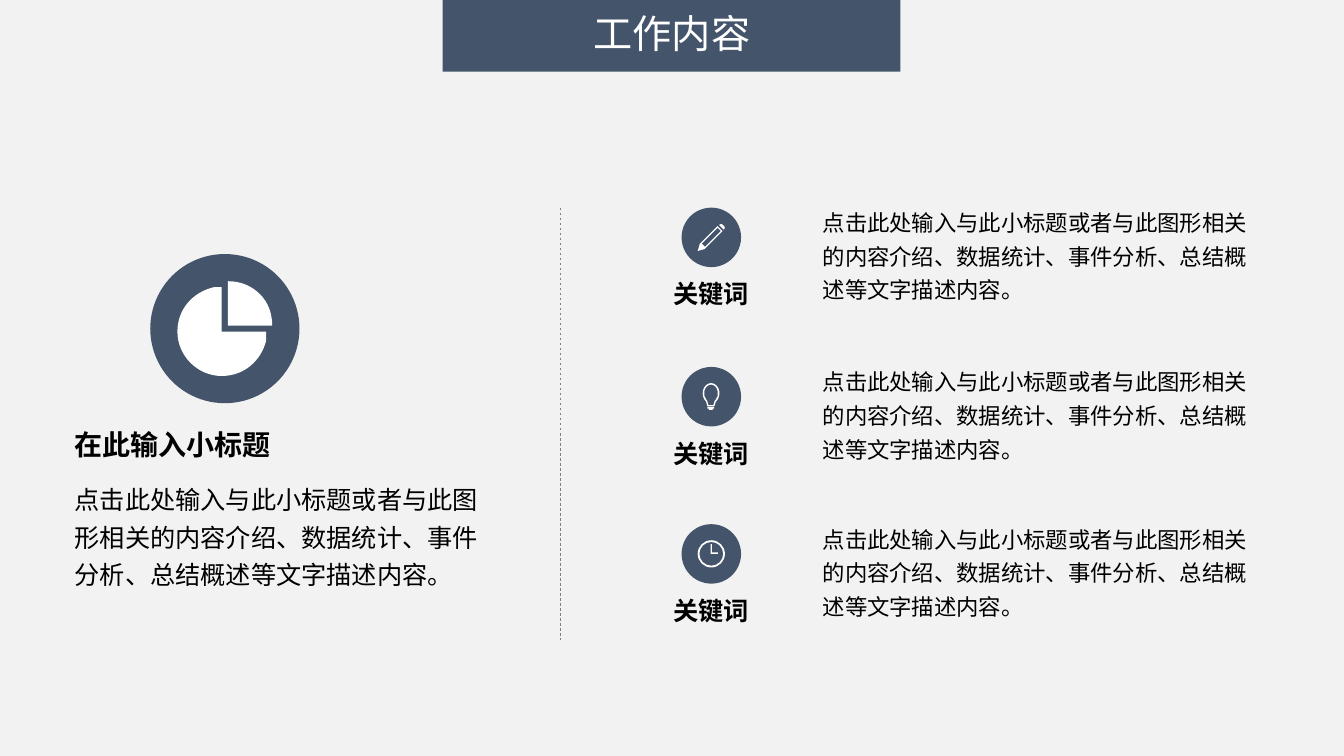
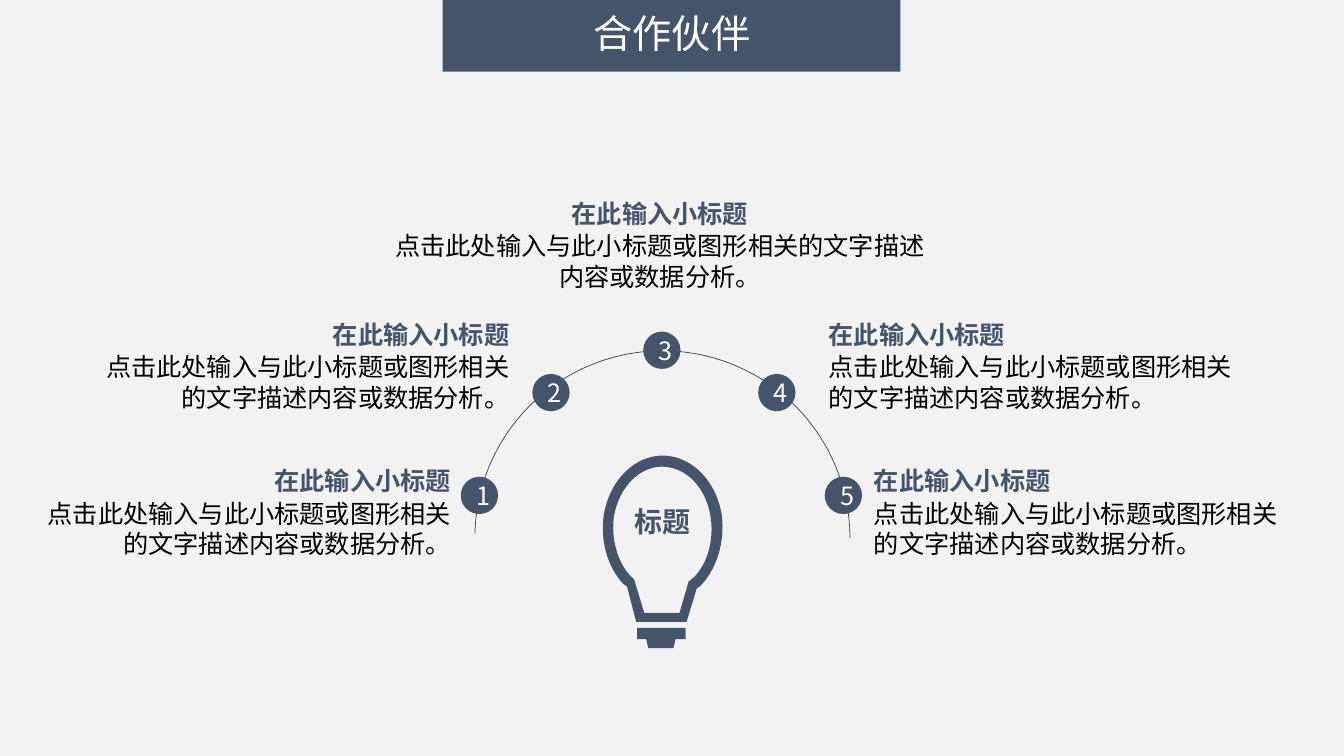
from lxml.etree import Element, SubElement
from pptx import Presentation
from pptx.dml.color import RGBColor
from pptx.enum.dml import MSO_LINE
from pptx.enum.shapes import MSO_CONNECTOR, MSO_SHAPE
from pptx.enum.text import MSO_ANCHOR, MSO_AUTO_SIZE, PP_ALIGN
from pptx.oxml.ns import qn
from pptx.util import Pt

EMU_PER_PX = 9144
FONT = "Noto Sans CJK SC"
NAVY, WHITE, BLACK, PALE = "44546A", "FFFFFF", "000000", "F2F2F2"
ARC_GREY, DIVIDER_GREY = "404040", "808080"

SUBTITLE = "在此输入小标题"
KEYWORD = "关键词"
SUMMARY = "点击此处输入与此小标题或者与此图形相关的内容介绍、数据统计、事件分析、总结概述等文字描述内容。"
PARTNER_NOTE = "点击此处输入与此小标题或图形相关的文字描述内容或数据分析。"


def circle(center, radius):
    low, high = center - radius, center + radius
    near, far = center - 0.55 * radius, center + 0.55 * radius
    return [(center, low), (far, low, high, near, high, center),
            (high, far, far, high, center, high), (near, high, low, far, low, center),
            (low, near, near, low, center, low)]


PIE = [
    [(44, 6), (44, 50), (88, 50), (88, 59), (83, 79, 66, 94, 44, 94),
     (20, 94, 0, 74, 0, 50), (0, 28, 15, 11, 36, 6)],
    [(50, 0), (62, 0, 73, 4, 82, 13), (90, 21, 94, 32, 94, 44), (50, 44)],
]
PENCIL = [
    [(198, 40), (40, 198), (72, 230), (230, 72)],
    [(197, 23), (247, 73), (70, 250), (0, 270), (20, 200)],
    [(212, 12), (225, -1, 235, -1, 243, 6), (264, 27), (272, 35, 272, 45, 258, 58)],
]
BULB = [
    [(34, 171), (82, 171), (82, 182), (72, 182), (70, 191), (45, 191), (43, 182), (34, 182)],
    [(60, 11), (37, 10, 16, 31, 11, 60), (8, 82, 14, 104, 26, 118), (31, 123), (41, 156),
     (76, 156), (85, 125), (91, 120), (104, 106, 110, 84, 107, 62), (103, 33, 84, 12, 60, 11)],
    [(61, 0), (89, 1, 113, 26, 118, 60), (121, 86, 113, 112, 97, 129), (93, 132), (83, 165),
     (33, 165), (24, 130), (20, 127), (4, 110, -3, 83, 1, 58), (7, 24, 32, -1, 61, 0)],
]
CLOCK = [
    [(128, 40), (142, 40), (142, 120), (200, 120), (200, 135), (128, 135)],
    circle(135, 118),
    circle(135, 135),
]


def px(length):
    return round(length * EMU_PER_PX)


def color(hex_code):
    return RGBColor.from_string(hex_code)


def paint(shape, fill):
    shape.shadow.inherit = False
    shape.fill.solid()
    shape.fill.fore_color.rgb = color(fill)
    shape.line.fill.background()


def bend(line_to, controls, origin):
    line_to.tag = qn("a:cubicBezTo")
    for position, (x, y) in enumerate(controls):
        control = Element(qn("a:pt"), x=str(x - origin[0]), y=str(y - origin[1]))
        line_to.insert(position, control)


def add_icon(slide, contours, left, top, scale, fill):
    def place(x, y):
        return px(left + x * scale), px(top + y * scale)

    builder = slide.shapes.build_freeform(*place(*contours[0][0]), scale=1.0)
    for index, contour in enumerate(contours):
        if index:
            builder.move_to(*place(*contour[0]))
        builder.add_line_segments([place(*segment[-2:]) for segment in contour[1:]])
    icon = builder.convert_to_shape()
    paint(icon, fill)
    segments = [segment for contour in contours for segment in contour[1:]]
    for line_to, segment in zip(list(icon._element.iter(qn("a:lnTo"))), segments):
        if len(segment) == 6:
            controls = [place(*segment[:2]), place(*segment[2:4])]
            bend(line_to, controls, (icon.left, icon.top))


def set_text(shape, text, size, ink, align, bold=False, spacing=None):
    paragraph = shape.text_frame.paragraphs[0]
    paragraph.text = text
    paragraph.alignment = align
    if spacing:
        paragraph.line_spacing = spacing
    run = paragraph.runs[0]
    run.font.size = Pt(size)
    run.font.bold = bold
    run.font.color.rgb = color(ink)
    run.font.name = FONT
    SubElement(run._r.get_or_add_rPr(), qn("a:ea"), typeface=FONT)


def add_filled(slide, preset, left, top, width, height, fill):
    shape = slide.shapes.add_shape(preset, px(left), px(top), px(width), px(height))
    paint(shape, fill)
    shape.text_frame.vertical_anchor = MSO_ANCHOR.MIDDLE
    return shape


def add_disc(slide, left, top, diameter):
    return add_filled(slide, MSO_SHAPE.OVAL, left, top, diameter, diameter, NAVY)


def add_text(slide, box, text, size, ink=BLACK, align=PP_ALIGN.LEFT, bold=False,
             spacing=None, side_inset=10):
    text_box = slide.shapes.add_textbox(*map(px, box))
    frame = text_box.text_frame
    frame.word_wrap = True
    frame.auto_size = MSO_AUTO_SIZE.SHAPE_TO_FIT_TEXT
    frame.margin_left = frame.margin_right = px(side_inset)
    set_text(text_box, text, size, ink, align, bold, spacing)


def add_flush_text(slide, box, text, size, **style):
    add_text(slide, box, text, size, spacing=1.25, side_inset=0, **style)


def add_divider(slide, x, top, bottom):
    divider = slide.shapes.add_connector(MSO_CONNECTOR.STRAIGHT, px(x), px(top), px(x), px(bottom))
    divider.line.color.rgb = color(DIVIDER_GREY)
    divider.line.width = Pt(0.5)
    divider.line.dash_style = MSO_LINE.DASH
    SubElement(divider._element.spPr, qn("a:effectLst"))


def add_arc(slide, left, top, diameter, start_degrees):
    arc = slide.shapes.add_shape(MSO_SHAPE.ARC, px(left), px(top), px(diameter), px(diameter))
    arc.adjustments[0] = start_degrees * 0.6
    arc.adjustments[1] = 0
    arc.shadow.inherit = False
    arc.fill.background()
    arc.line.color.rgb = color(ARC_GREY)
    arc.line.width = Pt(0.5)


def move_band_to_master(deck, slide):
    band = add_filled(slide, MSO_SHAPE.RECTANGLE, 439, 0, 454, 71, NAVY)
    deck.slide_master.shapes._spTree.append(band._element)


def add_titled_slide(deck, title):
    slide = deck.slides.add_slide(deck.slide_layouts[6])
    title_box = slide.shapes.add_textbox(px(495), px(9), px(343), px(53))
    title_box.text_frame.vertical_anchor = MSO_ANCHOR.MIDDLE
    title_box.text_frame.word_wrap = True
    set_text(title_box, title, 28, WHITE, PP_ALIGN.CENTER, spacing=0.9)
    return slide


def add_keyword_row(slide, top, icon, icon_left, icon_scale):
    add_disc(slide, 676, top, 59)
    add_icon(slide, icon, icon_left, top + 16, icon_scale, WHITE)
    add_flush_text(slide, (629, top + 58, 152, 45), KEYWORD, 18,
                   align=PP_ALIGN.CENTER, bold=True)
    add_flush_text(slide, (816, top - 10, 426, 111), SUMMARY, 16)


def add_partner(slide, left, top, width, align):
    heading_width = 287
    shift = {PP_ALIGN.LEFT: 0, PP_ALIGN.CENTER: 0.5, PP_ALIGN.RIGHT: 1}[align]
    heading_left = left + shift * (width - heading_width)
    add_text(slide, (left, top + 32, width, 71), PARTNER_NOTE, 18, align=align)
    add_text(slide, (heading_left, top, heading_width, 40), SUBTITLE, 18, NAVY, align, bold=True)


def build_work_slide(deck):
    slide = add_titled_slide(deck, "工作内容")
    move_band_to_master(deck, slide)
    add_disc(slide, 149, 252, 148)
    add_icon(slide, PIE, 176, 279, 1, WHITE)
    add_flush_text(slide, (74, 468, 420, 120), SUMMARY, 18)
    add_flush_text(slide, (74, 411, 310, 52), SUBTITLE, 20, bold=True)
    add_divider(slide, 556, 206, 635)
    keyword_rows = [(206, PENCIL, 692, 0.1), (364, BULB, 697, 0.14), (520, CLOCK, 692, 0.1)]
    for row in keyword_rows:
        add_keyword_row(slide, *row)


def build_partner_slide(deck):
    slide = add_titled_slide(deck, "合作伙伴")
    add_arc(slide, 471, 348, 372, 181.42)
    stops = [(457, 473), (528, 371), (638, 329), (752, 371), (818, 473)]
    for number, (left, top) in enumerate(stops, start=1):
        set_text(add_disc(slide, left, top, 37), str(number), 18, WHITE, PP_ALIGN.CENTER)
    partners = [
        (32, 457, 425, PP_ALIGN.RIGHT),
        (90, 312, 425, PP_ALIGN.RIGHT),
        (370, 192, 569, PP_ALIGN.CENTER),
        (812, 312, 443, PP_ALIGN.LEFT),
        (857, 457, 443, PP_ALIGN.LEFT),
    ]
    for partner in partners:
        add_partner(slide, *partner)
    add_icon(slide, BULB, 598, 452, 1, NAVY)
    add_text(slide, (598, 496, 119, 44), "标题", 20, NAVY, PP_ALIGN.CENTER, bold=True)


def main():
    deck = Presentation()
    deck.slide_width, deck.slide_height = px(1333), px(750)
    backdrop = deck.slide_master.background.fill
    backdrop.solid()
    backdrop.fore_color.rgb = color(PALE)
    build_work_slide(deck)
    build_partner_slide(deck)
    deck.save("out.pptx")


if __name__ == "__main__":
    main()
